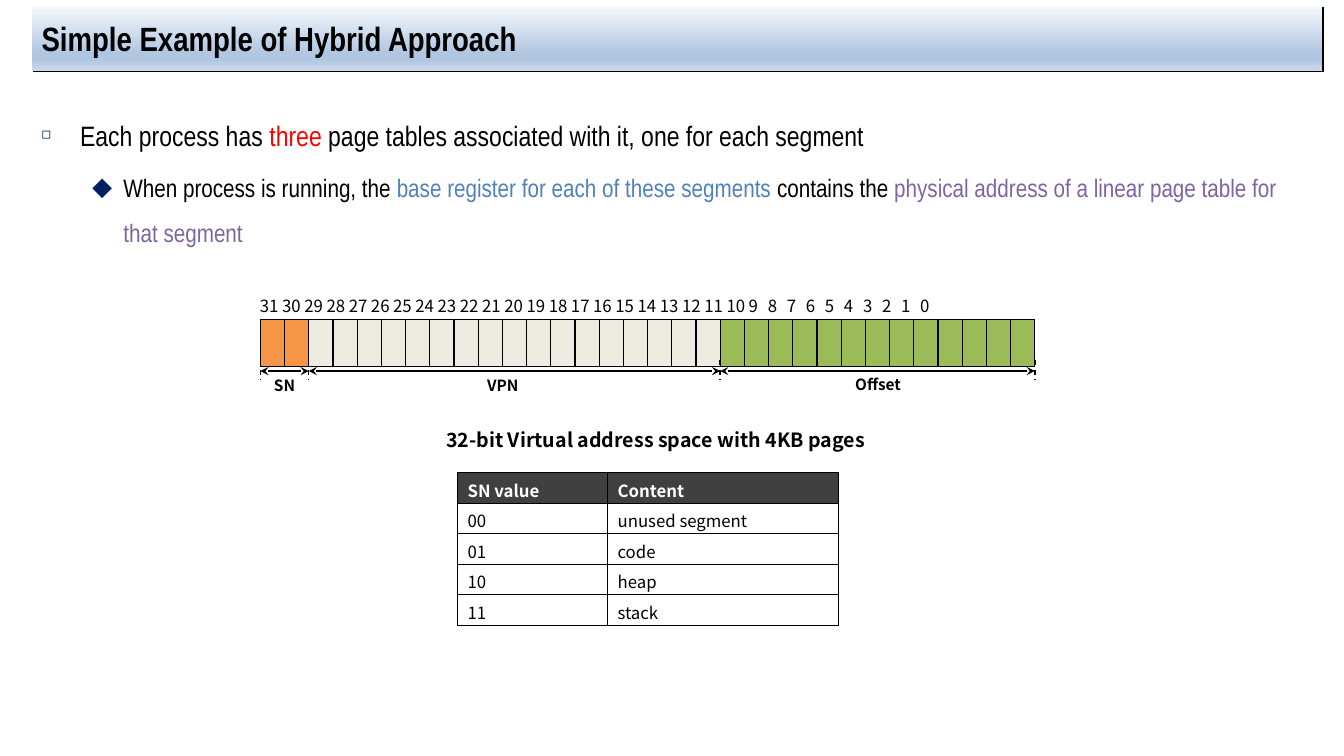
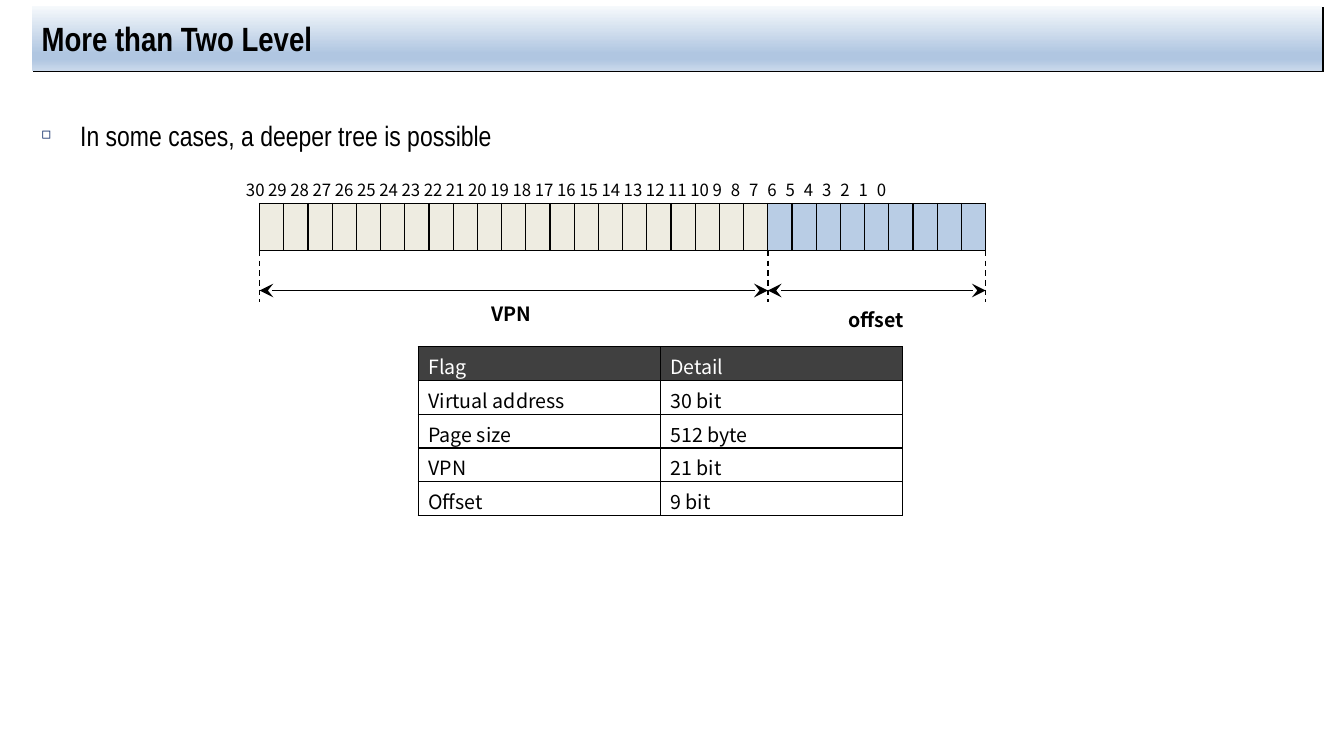
from dataclasses import dataclass
from itertools import accumulate

from lxml import etree
from pptx import Presentation
from pptx.dml.color import RGBColor
from pptx.enum import dml, shapes, text
from pptx.oxml import ns
from pptx.util import Cm, Pt


@dataclass(frozen=True)
class Theme:
    heading_font: str = "Arial Narrow"
    label_font: str = "Noto Sans CJK KR"
    title_size: int = 24
    body_sizes: tuple[int, ...] = (20, 18)
    bit_size: int = 12
    caption_size: int = 14
    black: str = "000000"
    white: str = "FFFFFF"
    red: str = "FF0000"
    blue: str = "4F81BD"
    purple: str = "8064A2"
    bullet: str = "002060"
    header: str = "404040"
    orange: str = "F79646"
    cream: str = "EEECE1"
    green: str = "9BBB59"
    pale_blue: str = "B9CDE5"
    band: tuple[tuple[int, str], ...] = (
        (0, "F6F9FC"), (74, "B0C6E1"), (83, "B0C6E1"), (100, "CAD9EB"))


T = Theme()


@dataclass(frozen=True)
class Level:
    margin: float
    hanging: float
    bullet: str
    bullet_font: str
    bullet_pct: int
    space_before: float


LEVELS = (Level(0.97, 0.97, "◻", T.heading_font, 55, 0),
          Level(2.06, 0.79, "◆", T.label_font, 80, 3.6))


@dataclass(frozen=True)
class Item:
    level: int
    runs: tuple[tuple[str, str], ...]


@dataclass(frozen=True)
class Field:
    """A named range of bits; its label is centred on label_x."""
    name: str
    bits: int
    color: str
    label_x: float
    label_y: float


@dataclass(frozen=True)
class Address:
    """A strip of bit cells with numbers above and field arrows below."""
    left: float
    top: float
    fields: tuple[Field, ...]
    numbers_left: float
    numbers_top: float
    one_digit_step: float
    tick_top: float
    tick_bottom: float
    arrow_y: float
    arrow_size: str
    label_size: int
    cell_width: float = 0.61
    cell_height: float = 1.19
    two_digit_step: float = 0.56


@dataclass(frozen=True)
class Grid:
    left: float
    top: float
    columns: tuple[float, ...]
    row_height: float
    size: int
    bold_header: bool
    rows: tuple[tuple[str, str], ...]


def add_xml(parent, tag: str, **attrs):
    return etree.SubElement(parent, ns.qn(f"a:{tag}"),
                            {k: str(v) for k, v in attrs.items()})


def add_run(p, content: str, size: int, color: str = T.black,
            font: str = T.label_font, bold: bool = False) -> None:
    r = p.add_run()
    r.text = content
    for name, value in {"name": font, "size": Pt(size), "bold": bold}.items():
        setattr(r.font, name, value)
    r.font.color.rgb = RGBColor.from_string(color)


def add_box(s, left: float, top: float, width: float, height: float):
    tf = s.shapes.add_textbox(Cm(left), Cm(top), Cm(width), Cm(height)).text_frame
    tf.word_wrap = True
    return tf


def add_label(s, center: float, top: float, width: float,
              content: str, size: int) -> None:
    p = add_box(s, center - width / 2, top, width, 0.8).paragraphs[0]
    p.alignment = text.PP_ALIGN.CENTER
    add_run(p, content, size, bold=True)


def add_title(s, content: str) -> None:
    sp = s.shapes.add_shape(shapes.MSO_SHAPE.RECTANGLE,
                            Cm(0.8), Cm(0.15), Cm(32.53), Cm(1.63))
    sp.line.fill.background()
    sp.fill.gradient()
    sp.fill.gradient_angle = 270
    stops = sp._element.spPr.find(".//" + ns.qn("a:gsLst"))
    stops.clear()
    for pct, color in T.band:
        add_xml(add_xml(stops, "gs", pos=pct * 1000), "srgbClr", val=color)
    sp.shadow.inherit = False
    effects = sp._element.spPr.find(ns.qn("a:effectLst"))
    shadow = add_xml(effects, "outerShdw", dist=Pt(1.4), dir=45 * 60000,
                     algn="tl", rotWithShape=0)
    add_xml(shadow, "srgbClr", val=T.black)
    tf = sp.text_frame
    tf.vertical_anchor = text.MSO_ANCHOR.MIDDLE
    p = tf.paragraphs[0]
    p.alignment = text.PP_ALIGN.LEFT
    add_run(p, content, T.title_size, font=T.heading_font, bold=True)


def add_body(s, items: tuple[Item, ...]) -> None:
    tf = add_box(s, 0.8, 2.44, 32.53, 15.29)
    for i, item in enumerate(items):
        p = tf.add_paragraph() if i else tf.paragraphs[0]
        level = LEVELS[item.level]
        pPr = p._p.get_or_add_pPr()
        pPr.set("marL", str(Cm(level.margin)))
        pPr.set("indent", str(-Cm(level.hanging)))
        add_xml(add_xml(pPr, "buClr"), "srgbClr", val=T.bullet)
        add_xml(pPr, "buSzPct", val=level.bullet_pct * 1000)
        add_xml(pPr, "buFont", typeface=level.bullet_font)
        add_xml(pPr, "buChar", char=level.bullet)
        formats = {"level": item.level, "line_spacing": 1.5,
                   "space_before": Pt(level.space_before)}
        for name, value in formats.items():
            setattr(p, name, value)
        for content, color in item.runs:
            add_run(p, content, T.body_sizes[item.level], color, T.heading_font)


def add_line(s, start: tuple[float, float], end: tuple[float, float],
             arrow_size: str = "") -> None:
    """A double-headed arrow, or a dashed tick when no arrow size is given."""
    c = s.shapes.add_connector(shapes.MSO_CONNECTOR.STRAIGHT,
                               *map(Cm, start + end))
    c.line.color.rgb = RGBColor.from_string(T.black)
    c.line.width = Pt(1)
    if arrow_size:
        for tag in ("headEnd", "tailEnd"):
            add_xml(c.line._get_or_add_ln(), tag, type="stealth",
                    w=arrow_size, len=arrow_size)
    else:
        c.line.dash_style = dml.MSO_LINE.DASH
    add_xml(c._element.spPr, "effectLst")


def format_cell(cell, color: str) -> None:
    """Draw black borders and a solid fill."""
    tcPr = cell._tc.get_or_add_tcPr()
    for side in ("lnL", "lnR", "lnT", "lnB"):
        ln = add_xml(tcPr, side, w=Pt(1))
        add_xml(add_xml(ln, "solidFill"), "srgbClr", val=T.black)
    cell.fill.solid()
    cell.fill.fore_color.rgb = RGBColor.from_string(color)


def new_table(s, left: float, top: float, widths: tuple[float, ...],
              row_height: float, rows: int):
    table = s.shapes.add_table(rows, len(widths), Cm(left), Cm(top),
                               Cm(sum(widths)), Cm(row_height * rows)).table
    for flag in ("first_row", "horz_banding"):
        setattr(table, flag, False)
    for column, width in zip(table.columns, widths):
        column.width = Cm(width)
    for row in table.rows:
        row.height = Cm(row_height)
    return table


def add_bit_numbers(s, address: Address, bits: list[int]) -> None:
    p = add_box(s, address.numbers_left, address.numbers_top, 20, 0.76).paragraphs[0]
    steps = [address.two_digit_step if bit > 9 else address.one_digit_step
             for bit in bits[:-1]]
    tabs = add_xml(p._p.get_or_add_pPr(), "tabLst")
    for pos in accumulate(steps):
        add_xml(tabs, "tab", pos=Cm(pos), algn="l")
    add_run(p, "\t".join(map(str, bits)), T.bit_size)


def add_address(s, address: Address, bits: list[int]) -> None:
    colors = [f.color for f in address.fields for _ in range(f.bits)]
    table = new_table(s, address.left, address.top,
                      (address.cell_width,) * len(colors), address.cell_height, 1)
    for cell, color in zip(table.iter_cells(), colors):
        for side in ("left", "right", "top", "bottom"):
            setattr(cell, f"margin_{side}", 0)
        format_cell(cell, color)
    add_bit_numbers(s, address, bits)
    counts = accumulate((f.bits for f in address.fields), initial=0)
    edges = [address.left + n * address.cell_width for n in counts]
    for x in edges:
        add_line(s, (x, address.tick_top), (x, address.tick_bottom))
    for field, x1, x2 in zip(address.fields, edges, edges[1:]):
        add_line(s, (x1, address.arrow_y), (x2, address.arrow_y),
                 address.arrow_size)
        add_label(s, field.label_x, field.label_y, 2.4,
                  field.name, address.label_size)


def add_grid(s, grid: Grid) -> None:
    table = new_table(s, grid.left, grid.top, grid.columns,
                      grid.row_height, len(grid.rows))
    for i, row in enumerate(grid.rows):
        head = i == 0
        for j, content in enumerate(row):
            cell = table.cell(i, j)
            cell.margin_bottom = 0
            format_cell(cell, T.header if head else T.white)
            add_run(cell.text_frame.paragraphs[0], content, grid.size,
                    T.white if head else T.black, bold=head and grid.bold_header)


HYBRID_ITEMS = (
    Item(0, (("Each process has ", T.black), ("three", T.red),
             (" page tables associated with it, one for each segment", T.black))),
    Item(1, (("When process is running, the ", T.black),
             ("base register for each of these segments", T.blue),
             (" contains the ", T.black),
             ("physical address of a linear page table for that segment", T.purple))),
)
HYBRID_ADDRESS = Address(
    left=6.56, top=8.05, numbers_left=6.3, numbers_top=7.32, one_digit_step=0.48,
    tick_top=9.07, tick_bottom=9.58, arrow_y=9.35, arrow_size="med", label_size=11,
    fields=(Field("SN", 2, T.orange, 7.17, 9.35),
            Field("VPN", 17, T.cream, 12.67, 9.35),
            Field("Offset", 13, T.green, 22.13, 9.32)))
SEGMENTS = Grid(11.53, 11.91, (3.78, 5.82), 0.77, 12, True, (
    ("SN value", "Content"), ("00", "unused segment"), ("01", "code"),
    ("10", "heap"), ("11", "stack")))

DEEPER_ITEMS = (Item(0, (("In some cases, a deeper tree is possible", T.black),)),)
DEEPER_ADDRESS = Address(
    left=6.54, top=5.13, numbers_left=5.95, numbers_top=4.4, one_digit_step=0.46,
    tick_top=6.32, tick_bottom=7.62, arrow_y=7.32, arrow_size="lg", label_size=14,
    fields=(Field("VPN", 21, T.cream, 12.88, 7.49),
            Field("offset", 9, T.pale_blue, 22.08, 7.64)))
FLAGS = Grid(10.54, 8.74, (6.1, 6.1), 0.85, 14, False, (
    ("Flag", "Detail"), ("Virtual address", "30 bit"), ("Page size", "512 byte"),
    ("VPN", "21 bit"), ("Offset", "9 bit")))


def add_slide(prs, title: str, items: tuple[Item, ...], address: Address,
              top_bit: int, grid: Grid):
    s = prs.slides.add_slide(prs.slide_layouts[6])
    add_title(s, title)
    add_body(s, items)
    add_address(s, address, list(range(top_bit, -1, -1)))
    add_grid(s, grid)
    return s


def main() -> None:
    prs = Presentation()
    prs.slide_width, prs.slide_height = Cm(33.87), Cm(19.05)
    s = add_slide(prs, "Simple Example of Hybrid Approach", HYBRID_ITEMS,
                  HYBRID_ADDRESS, 31, SEGMENTS)
    add_label(s, 16.53, 10.66, 11.2,
              "32-bit Virtual address space with 4KB pages", T.caption_size)
    add_slide(prs, "More than Two Level", DEEPER_ITEMS, DEEPER_ADDRESS, 30, FLAGS)
    prs.save("out.pptx")


if __name__ == "__main__":
    main()
